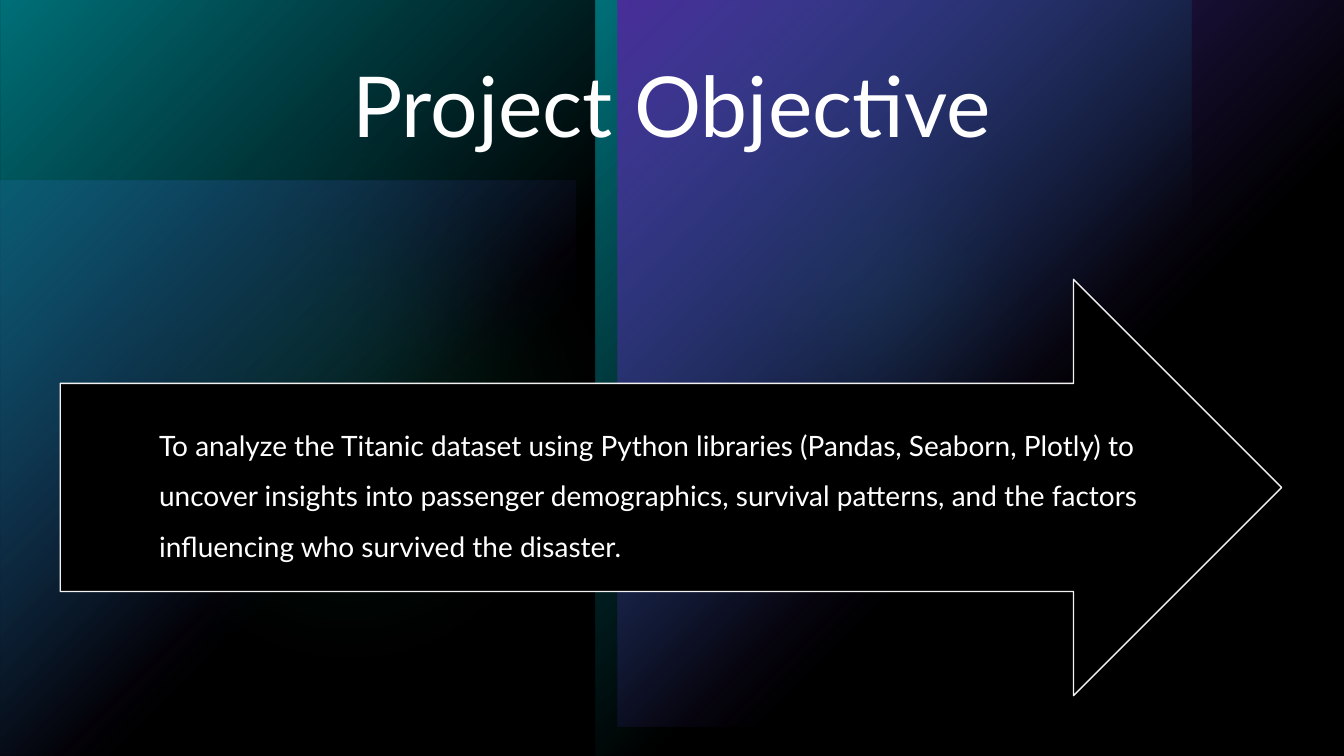
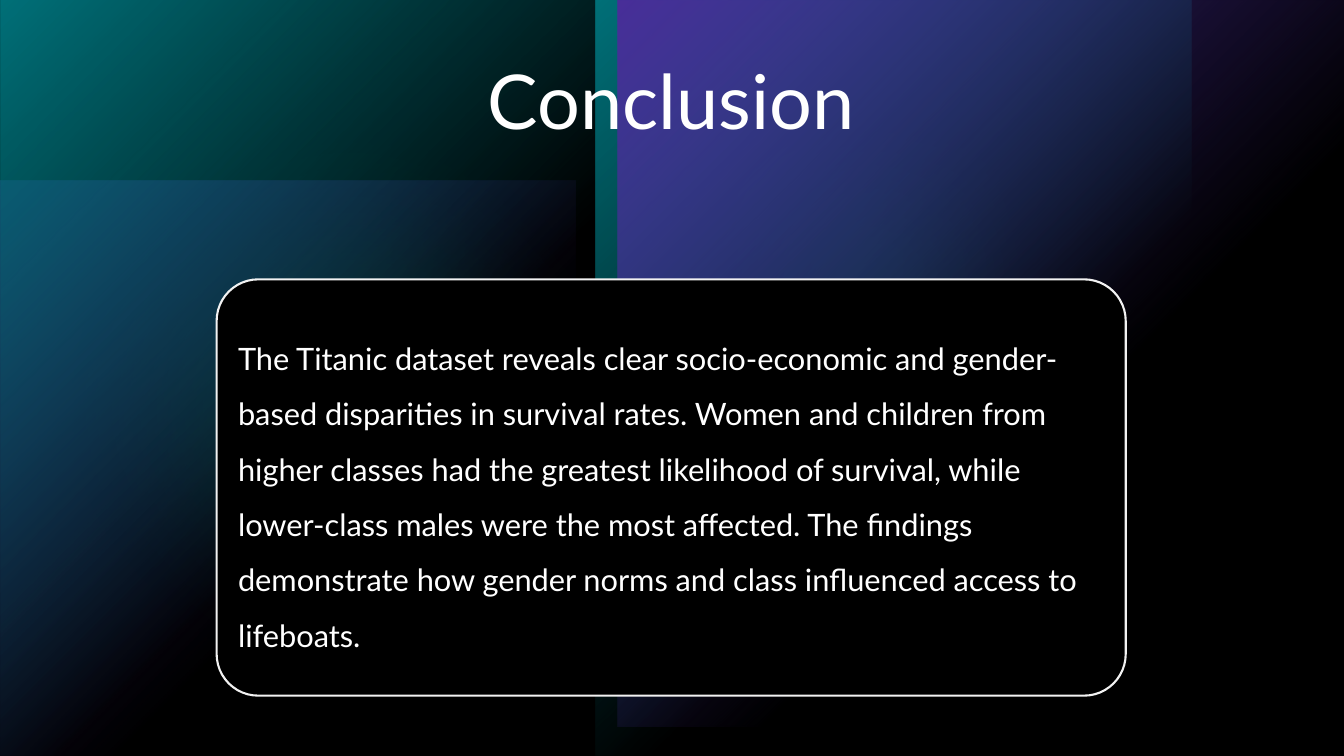
"""Build two slides on a Titanic data analysis: the objective and the conclusion."""
from lxml import etree
from pptx import Presentation
from pptx.dml.color import RGBColor
from pptx.enum.shapes import MSO_SHAPE as SHAPE
from pptx.enum.text import MSO_ANCHOR as ANCHOR, PP_ALIGN as ALIGN
from pptx.oxml import parse_xml
from pptx.oxml.ns import nsdecls, qn
from pptx.util import Cm, Pt

BLACK = RGBColor(0x00, 0x00, 0x00)
WHITE = RGBColor(0xFF, 0xFF, 0xFF)
OUTLINE = RGBColor(0xF2, 0xF2, 0xF2)
PURPLE = RGBColor(0x79, 0x4D, 0xFF)
TEAL = RGBColor(0x00, 0xBA, 0xC8)
GREEN = RGBColor(0x00, 0xD1, 0x7D)
FONT = "Lato"
WIDTH, HEIGHT = 33.87, 19.05
SOFT_EDGE = Pt(100)

GLOWS = [
    (SHAPE.RECTANGLE, (0, 4.55, 14.5, 14.5), PURPLE, 60, 0, "flipV"),
    (SHAPE.OVAL, (15.98, 1.09, 12, 12), GREEN, 60, 0, "flipV"),
    (SHAPE.OVAL, (0, 1.42, 17.63, 17.63), GREEN, 20, 0, "flipV"),
    (SHAPE.RECTANGLE, (0, 0, 15.01, HEIGHT), TEAL, 100, 180, "flipV"),
    (SHAPE.RECTANGLE, (15.01, 0, 15.01, HEIGHT), TEAL, 100, 180, "flipH flipV"),
    (SHAPE.RECTANGLE, (15.56, 0, 18.31, 18.31), PURPLE, 100, 180, "flipV"),
]

SLIDES = [
    ("Project Objective", 60, SHAPE.RIGHT_ARROW, (1.52, 7.04, 30.78, 10.49), 1,
     (4.01, 8.84, 25.68, 6.88), (0, 0.56), 20,
     "To analyze the Titanic dataset using Python libraries (Pandas, Seaborn, Plotly) "
     "to uncover insights into passenger demographics, survival patterns, and the "
     "factors influencing who survived the disaster."),
    ("Conclusion", 54, SHAPE.ROUNDED_RECTANGLE, (5.46, 7.04, 22.91, 10.49), 1.5,
     (5.77, 7.34, 22.3, 9.88), (0.23, 0.23), 22,
     "The Titanic dataset reveals clear socio-economic and gender-based disparities in "
     "survival rates. Women and children from higher classes had the greatest likelihood "
     "of survival, while lower-class males were the most affected. The findings "
     "demonstrate how gender norms and class influenced access to lifeboats."),
]


def add_panel(s, kind, box, color, alpha=100):
    sp = s.shapes.add_shape(kind, *map(Cm, box))
    sp.shadow.inherit = False
    sp.line.fill.background()
    sp.fill.solid()
    sp.fill.fore_color.rgb = color
    if alpha < 100:
        clr = sp._element.spPr.find(qn("a:solidFill"))[0]
        etree.SubElement(clr, qn("a:alpha")).set("val", str(alpha * 1000))
    return sp


def add_text(s, box, text, size, spacing, align):
    tf = s.shapes.add_textbox(*map(Cm, box)).text_frame
    tf.word_wrap = True
    tf.text = text
    p = tf.paragraphs[0]
    p.alignment = align
    p.line_spacing = spacing
    r = p.runs[0]
    r.font.name = FONT
    r.font.size = Pt(size)
    r.font.color.rgb = WHITE
    return tf


prs = Presentation()
prs.slide_width, prs.slide_height = Cm(WIDTH), Cm(HEIGHT)

for title, title_size, kind, box, line_width, text_box, insets, size, text in SLIDES:
    s = prs.slides.add_slide(prs.slide_layouts[6])
    s.background.fill.solid()
    s.background.fill.fore_color.rgb = BLACK

    for glow, glow_box, color, alpha, rotation, flips in GLOWS:
        sp = add_panel(s, glow, glow_box, color, alpha)
        sp.rotation = rotation
        spPr = sp._element.spPr
        for flip in flips.split():
            spPr.find(qn("a:xfrm")).set(flip, "1")
        if glow == SHAPE.OVAL:
            effects = spPr.find(qn("a:effectLst"))
            etree.SubElement(effects, qn("a:softEdge")).set("rad", str(SOFT_EDGE))
        else:
            stops = "".join(
                f'<a:gs pos="{pos}"><a:srgbClr val="{color}">'
                f'<a:alpha val="{opacity * 1000}"/></a:srgbClr></a:gs>'
                for pos, opacity in ((0, alpha), (60000, 0)))
            spPr.replace(spPr.find(qn("a:solidFill")), parse_xml(
                f'<a:gradFill {nsdecls("a")} rotWithShape="1"><a:gsLst>{stops}</a:gsLst>'
                '<a:path path="circle"><a:fillToRect r="100000" b="100000"/></a:path>'
                '</a:gradFill>'))
    add_panel(s, SHAPE.RECTANGLE, (0, 0, WIDTH, HEIGHT), BLACK, 40)

    add_text(s, (1.5, 1.5, 30.84, 2.87), title, title_size, 0.9, ALIGN.CENTER)

    sp = add_panel(s, kind, box, BLACK)
    sp.line.color.rgb = OUTLINE
    sp.line.width = Pt(line_width)
    if kind == SHAPE.ROUNDED_RECTANGLE:
        sp.adjustments[0] = 0.1

    tf = add_text(s, text_box, text, size, 1.5, ALIGN.LEFT)
    tf.vertical_anchor = ANCHOR.MIDDLE
    tf.margin_left = tf.margin_right = Cm(insets[0])
    tf.margin_top = tf.margin_bottom = Cm(insets[1])

prs.save("out.pptx")
